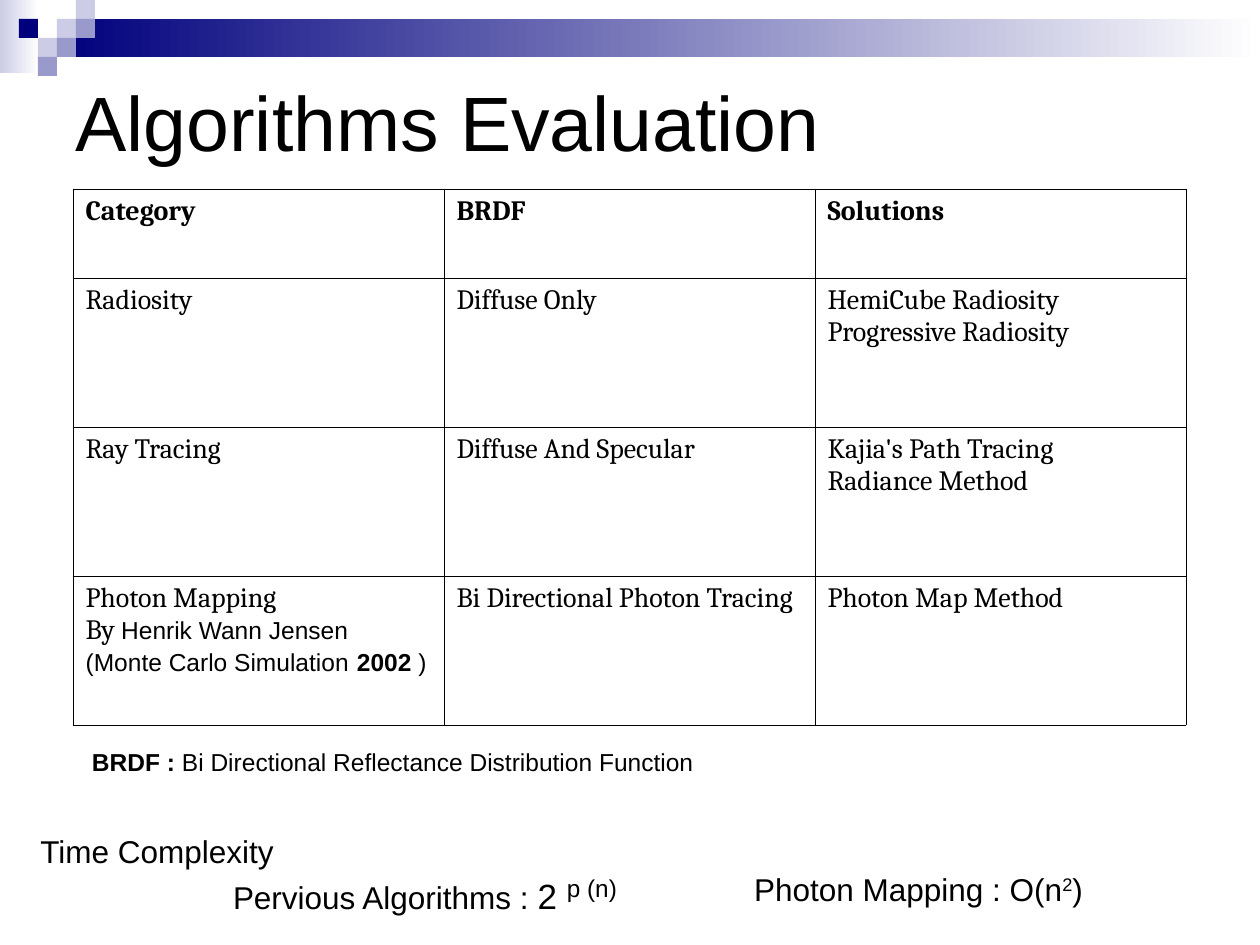
import pptx
import pptx.dml.color
import pptx.enum.shapes
import pptx.enum.text
import pptx.oxml
import pptx.oxml.ns
import pptx.util

PX = 914400 / 126
COLORS = {
    "ink": "000000",
    "paper": "FFFFFF",
    "navy": "00007D",
    "lavender": "CCCCE6",
    "periwinkle": "9999CC",
}
SANS, SERIF = "Arial", "Cambria"
HANGING_INDENT = 48

HEADER = ["Category", "BRDF", "Solutions"]
SMALL = {"size": 14, "font": SANS}
METHODS = [
    [["Radiosity"], ["Diffuse Only"], ["HemiCube Radiosity", "Progressive Radiosity"]],
    [["Ray Tracing"], ["Diffuse And Specular"], ["Kajia's Path Tracing", "Radiance Method"]],
    [
        [
            "Photon Mapping",
            [("By ", {}), ("Henrik Wann Jensen", SMALL)],
            [
                ("(Monte Carlo Simulation", SMALL),
                (" ", {"font": SANS, "bold": True}),
                ("2002", {**SMALL, "bold": True}),
                (" )", SMALL),
            ],
        ],
        ["Bi Directional Photon Tracing"],
        ["Photon Map Method"],
    ],
]


def emu(px):
    return pptx.util.Emu(round(px * PX))


def rgb(name):
    return pptx.dml.color.RGBColor.from_string(COLORS[name])


def write_line(paragraph, content, size, font=SANS, bold=False):
    """Fill a paragraph with a string or a list of (text, overrides) runs."""
    paragraph.font.size = pptx.util.Pt(size)
    paragraph.font.name = font
    paragraph.font.bold = bold
    paragraph.font.color.rgb = rgb("ink")
    runs = [(content, {})] if isinstance(content, str) else content
    for text, changes in runs:
        run = paragraph.add_run()
        run.text = text
        if "size" in changes:
            run.font.size = pptx.util.Pt(changes["size"])
        if "font" in changes:
            run.font.name = changes["font"]
        if "bold" in changes:
            run.font.bold = changes["bold"]
        if changes.get("superscript"):
            run.font._element.set("baseline", "30000")


def add_line(slide, box, content, size, centered=True):
    """Place one line of text, vertically centred; centred lines use the full box width."""
    frame = slide.shapes.add_textbox(*map(emu, box)).text_frame
    frame.word_wrap = True
    frame.vertical_anchor = pptx.enum.text.MSO_ANCHOR.MIDDLE
    if centered:
        frame.margin_left = frame.margin_right = 0
        frame.paragraphs[0].alignment = pptx.enum.text.PP_ALIGN.CENTER
    write_line(frame.paragraphs[0], content, size)


def add_block(slide, box, color, fade=False):
    """Draw a borderless rectangle, solid or fading to white on the right."""
    block = slide.shapes.add_shape(pptx.enum.shapes.MSO_SHAPE.RECTANGLE, *map(emu, box))
    block.shadow.inherit = False
    block.line.fill.background()
    if fade:
        block.fill.gradient()
        block.fill.gradient_angle = 0
        for stop, position, name in zip(block.fill.gradient_stops, (0, 1), (color, "paper")):
            stop.position = position
            stop.color.rgb = rgb(name)
    else:
        block.fill.solid()
        block.fill.fore_color.rgb = rgb(color)


def add_banner(slide, box):
    left, top, width, height = box
    unit = height // 4
    add_block(slide, (left, top, 39, 73), "lavender", fade=True)
    add_block(slide, (left + 3 * unit, top + unit, width - 3 * unit, 2 * unit), "navy", fade=True)
    mosaic = [
        (3, 1, "lavender"), (4, 0, "lavender"), (4, 1, "periwinkle"), (2, 2, "lavender"),
        (1, 1, "navy"), (3, 2, "periwinkle"), (2, 3, "periwinkle"),
    ]
    for column, row, color in mosaic:
        add_block(slide, (left + column * unit, top + row * unit, unit, unit), color)


def outline_cell(cell):
    cell.fill.background()
    properties = cell._tc.get_or_add_tcPr()
    for position, side in enumerate(("lnL", "lnR", "lnT", "lnB")):
        border = pptx.oxml.parse_xml(
            f'<a:{side} {pptx.oxml.ns.nsdecls("a")} w="5715"><a:solidFill>'
            f'<a:srgbClr val="{COLORS["ink"]}"/></a:solidFill></a:{side}>'
        )
        properties.insert(position, border)


def add_methods_table(slide, box, header_height):
    rows = [[[title] for title in HEADER]] + METHODS
    table = slide.shapes.add_table(len(rows), len(HEADER), *map(emu, box)).table
    table.first_row = table.horz_banding = False
    width, height = box[2:]
    for column in table.columns:
        column.width = emu(width / len(HEADER))
    body_height = (height - header_height) / len(METHODS)
    for index, row in enumerate(rows):
        table.rows[index].height = emu(body_height if index else header_height)
        for column, lines in enumerate(row):
            cell = table.cell(index, column)
            outline_cell(cell)
            frame = cell.text_frame
            for number, line in enumerate(lines):
                paragraph = frame.add_paragraph() if number else frame.paragraphs[0]
                indent = paragraph._p.get_or_add_pPr()
                indent.set("marL", str(emu(HANGING_INDENT)))
                indent.set("indent", str(-emu(HANGING_INDENT)))
                write_line(paragraph, line, 16, SERIF, bold=index == 0)


def add_complexity(slide, box):
    left, top = box[:2]
    add_line(slide, (left, top, 252, 42), "Time Complexity", 18)
    previous = [
        ("Pervious Algorithms : ", {}),
        ("2 ", {"size": 20}),
        ("p (n)", {"size": 24, "superscript": True}),
    ]
    add_line(slide, (left + 189, top + 42, 410, 42), previous, 18)
    photon = [("Photon Mapping : O(n", {}), ("2", {"superscript": True}), (")", {})]
    add_line(slide, (left + 714, top + 32, 347, 53), photon, 18)


def main():
    deck = pptx.Presentation()
    deck.slide_width, deck.slide_height = emu(1260), emu(945)
    slide = deck.slides.add_slide(deck.slide_layouts[6])
    add_banner(slide, (0, 0, 1260, 76))
    add_line(slide, (63, 63, 1134, 116), "Algorithms Evaluation", 44, centered=False)
    add_methods_table(slide, (73, 189, 1113, 536), header_height=89)
    definition = [
        ("BRDF : ", {"bold": True}),
        ("Bi Directional Reflectance Distribution Function", {}),
    ]
    add_line(slide, (83, 735, 620, 53), definition, 14)
    add_complexity(slide, (31, 830, 1061, 84))
    deck.save("out.pptx")


if __name__ == "__main__":
    main()
